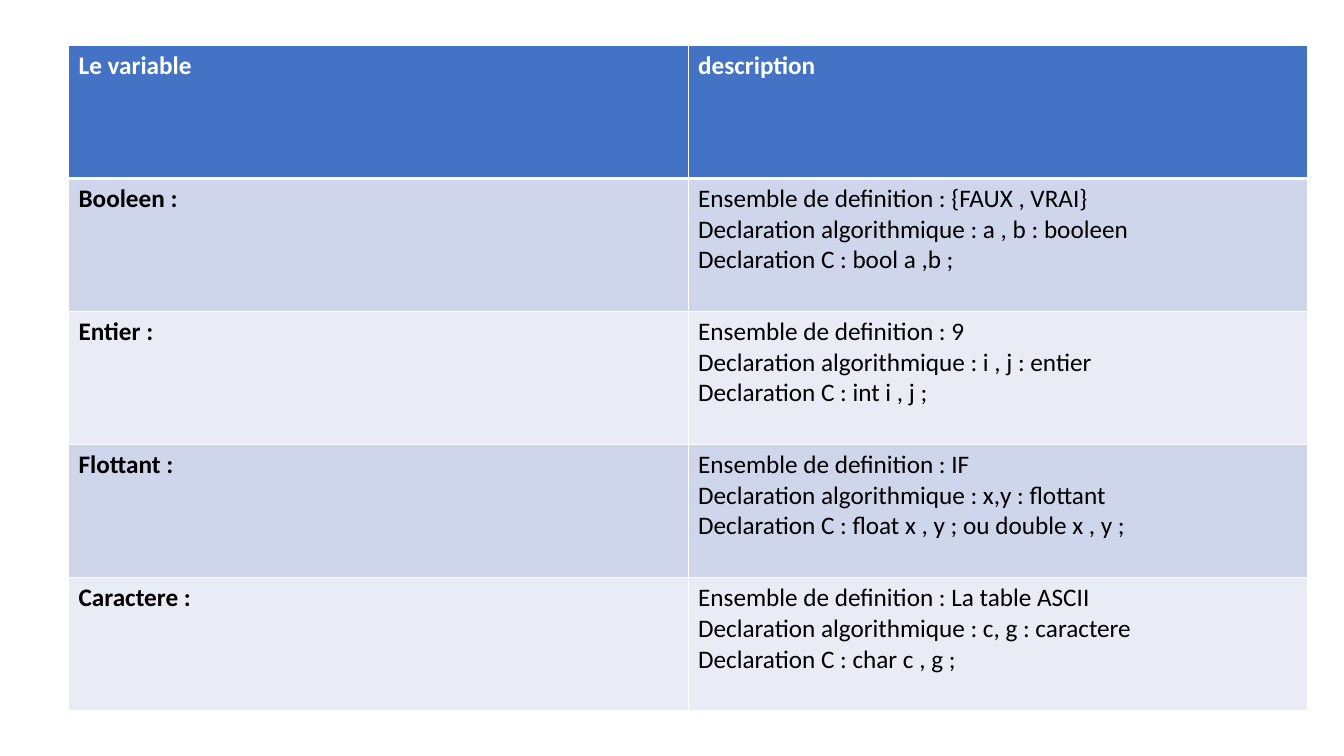
from lxml.etree import SubElement
from pptx import Presentation
from pptx.dml.color import RGBColor
from pptx.oxml.ns import qn
from pptx.util import Inches, Pt

HEADINGS = ("Le variable", "description")
TYPES = [
    ("Booleen :", "{FAUX , VRAI}", "a , b : booleen", "bool a ,b ;"),
    ("Entier :", "9", "i , j : entier", "int i , j ;"),
    ("Flottant :", "IF", "x,y : flottant", "float x , y ; ou double x , y ;"),
    ("Caractere :", "La table ASCII", "c, g : caractere", "char c , g ;"),
]
LABELS = ("Ensemble de definition", "Declaration algorithmique", "Declaration C")
COLORS = {
    "header": "4472C4",
    "odd": "CFD5EA",
    "even": "E9EBF5",
    "white": "FFFFFF",
    "black": "000000",
}
LEFT, TOP, WIDTH, HEIGHT = 0.68, 0.45, 12.29, 6.6


def color(name):
    return RGBColor.from_string(COLORS[name])


def set_borders(cell, top, bottom):
    """Draw white cell borders; top and bottom are widths in points."""
    properties = cell._tc.get_or_add_tcPr()
    for side, width in (("L", 1), ("R", 1), ("T", top), ("B", bottom)):
        line = SubElement(properties, qn(f"a:ln{side}"), w=str(Pt(width)))
        fill = SubElement(line, qn("a:solidFill"))
        SubElement(fill, qn("a:srgbClr"), val=COLORS["white"])


def fill_cell(cell, text, fill, ink, bold):
    cell.fill.solid()
    cell.fill.fore_color.rgb = color(fill)
    cell.text = text
    for para in cell.text_frame.paragraphs:
        para.font.name = "Calibri"
        para.font.size = Pt(18)
        para.font.bold = bold
        para.font.color.rgb = color(ink)


def main():
    deck = Presentation()
    deck.slide_width, deck.slide_height = Inches(13.33), Inches(7.5)
    page = deck.slides.add_slide(deck.slide_layouts[6])

    rows = [HEADINGS]
    for name, *details in TYPES:
        lines = [f"{label} : {detail}" for label, detail in zip(LABELS, details)]
        rows.append((name, "\n".join(lines)))

    table = page.shapes.add_table(
        len(rows), len(HEADINGS),
        Inches(LEFT), Inches(TOP), Inches(WIDTH), Inches(HEIGHT),
    ).table
    for r, row in enumerate(rows):
        is_header = r == 0
        fill = "header" if is_header else "odd" if r % 2 else "even"
        ink = "white" if is_header else "black"
        for c, text in enumerate(row):
            cell = table.cell(r, c)
            set_borders(cell, top=3 if r == 1 else 1, bottom=3 if is_header else 1)
            fill_cell(cell, text, fill, ink, bold=is_header or c == 0)

    deck.save("out.pptx")


if __name__ == "__main__":
    main()
